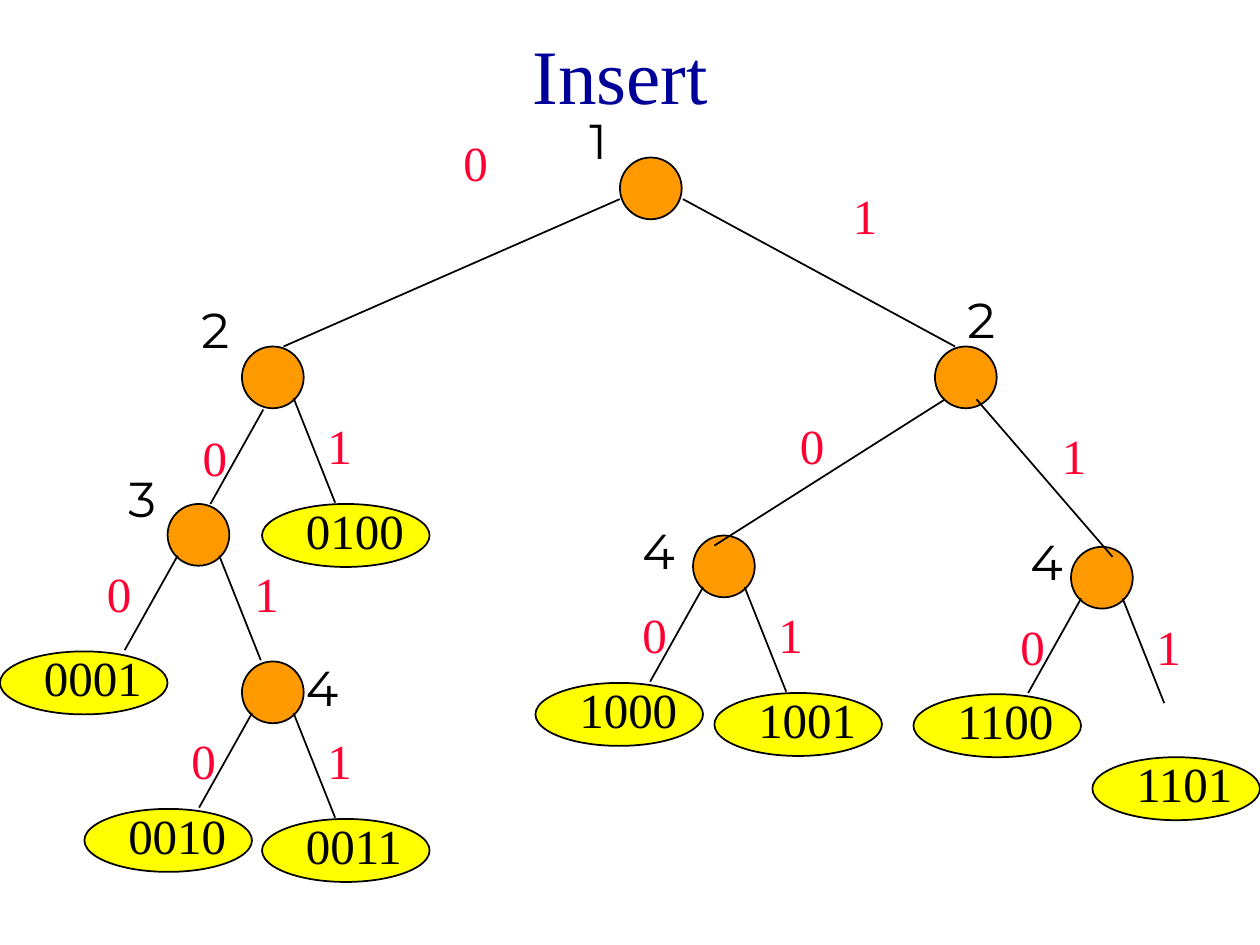
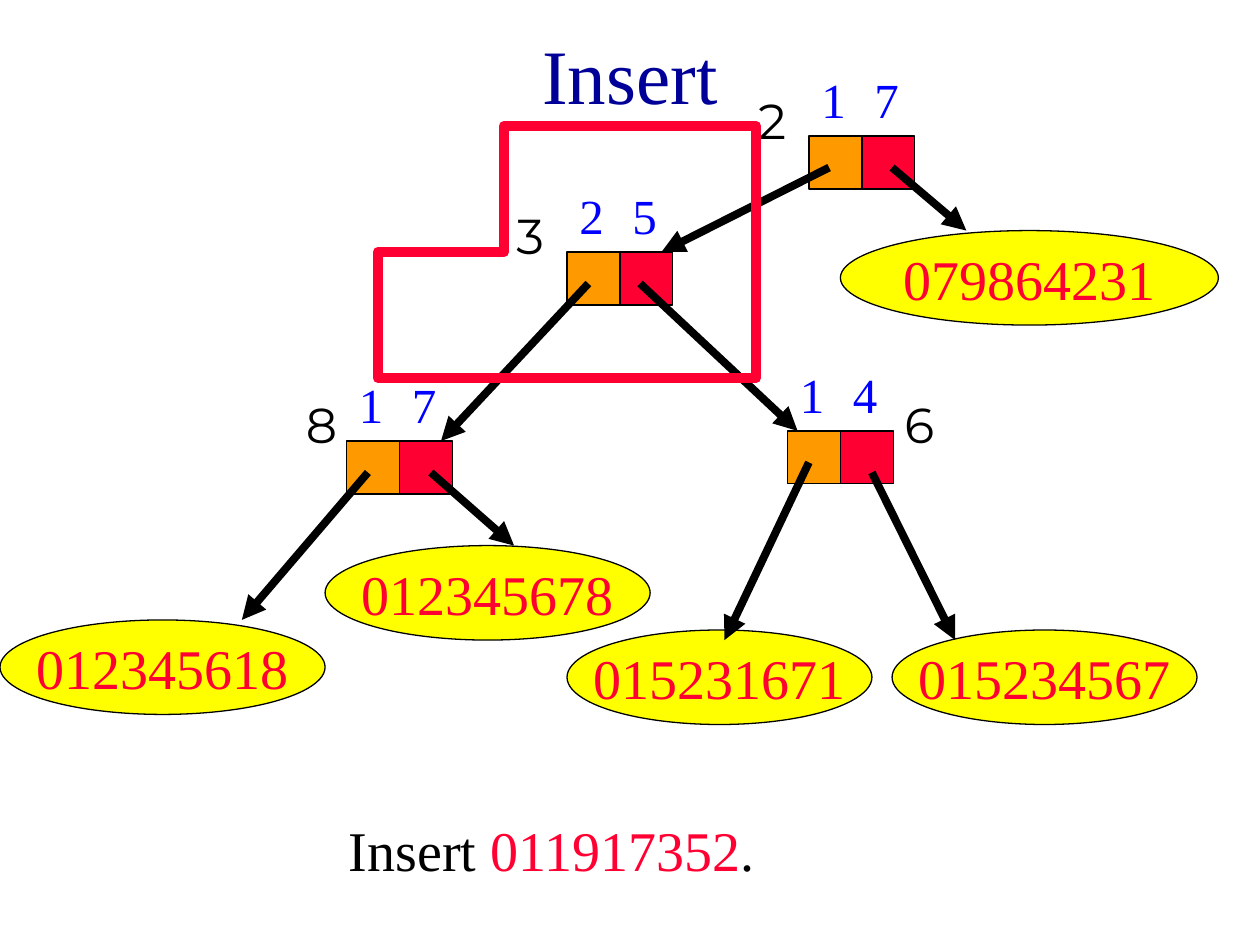
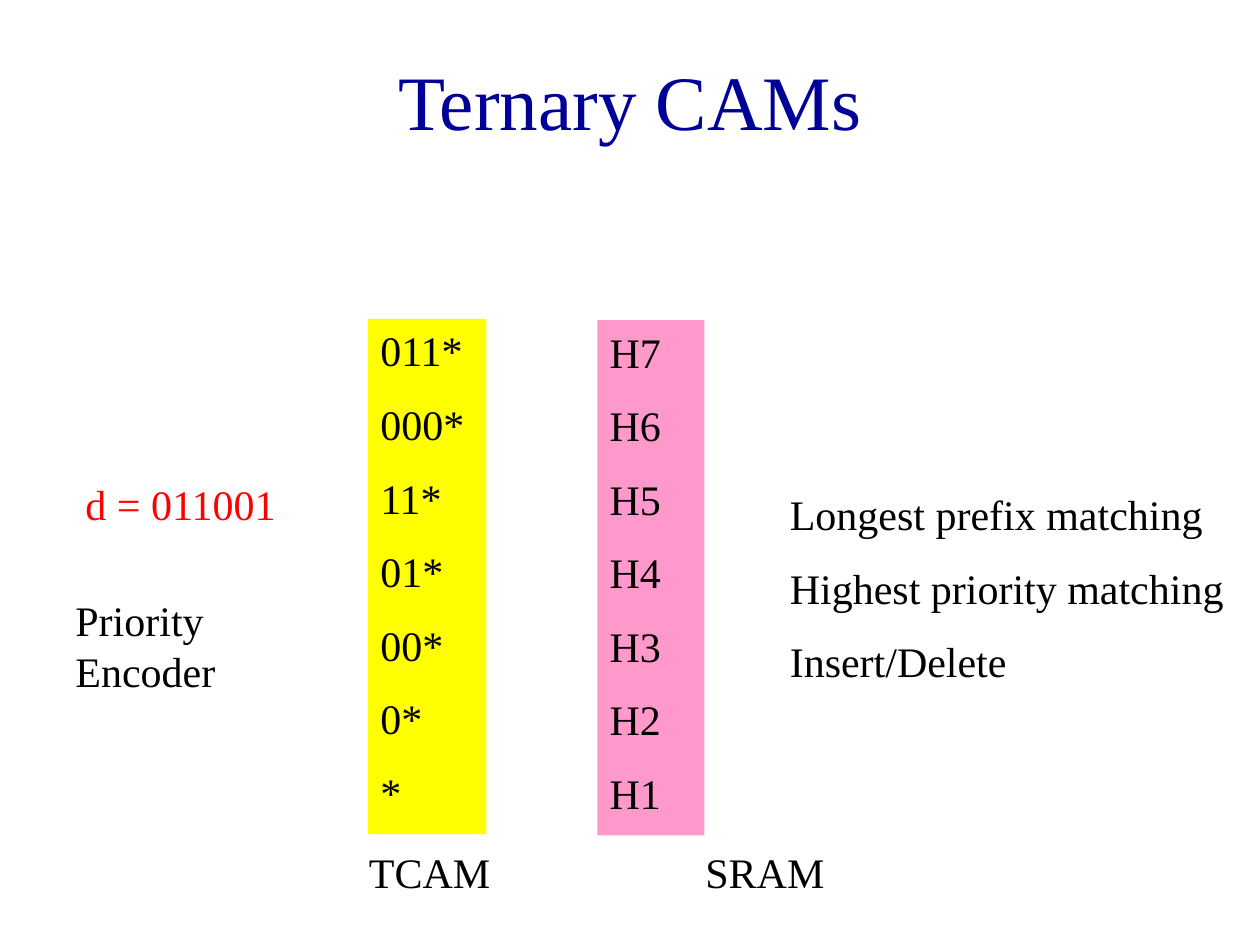
from pptx import Presentation
from pptx import util as u
from pptx.dml.color import RGBColor
from pptx.enum import shapes, text
from pptx.oxml.ns import qn
from lxml import etree

COLORS = {
    "title": "000099",
    "ink": "000000",
    "bit": "FF0033",
    "number": "010000",
    "digit": "0000FF",
    "query": "FF0000",
    "node": "FF9900",
    "leaf": "FFFF00",
    "sram": "FF99CC",
}
SERIF = "Times New Roman"
SANS = "Montserrat"
NODE = 0.49
CELL = 0.42


def color(name):
    return RGBColor.from_string(COLORS[name])


def set_font(font, size, ink, face=SERIF):
    font.size = u.Pt(size)
    font.name = face
    font.color.rgb = color(ink)


def add_titled_slide(deck, title, height=0.83):
    page = deck.slides.add_slide(deck.slide_layouts[5])
    box = page.shapes.title
    box.left, box.top = u.Inches(0.75), u.Inches(0.17)
    box.width, box.height = u.Inches(8.5), u.Inches(height)
    frame = box.text_frame
    frame.text = title
    frame.auto_size = text.MSO_AUTO_SIZE.NONE
    frame.vertical_anchor = text.MSO_ANCHOR.MIDDLE
    para = frame.paragraphs[0]
    para.alignment = text.PP_ALIGN.CENTER
    set_font(para.font, 44, "title")
    return page


def fill_text(box, lines, size, ink, face=SERIF, gap=0):
    frame = box.text_frame
    frame.word_wrap = True
    for index, line in enumerate(lines):
        para = frame.paragraphs[0] if index == 0 else frame.add_paragraph()
        para.text = line
        para.alignment = text.PP_ALIGN.LEFT
        if index:
            para.space_before = u.Pt(gap)
        set_font(para.font, size, ink, face)


def add_label(page, left, top, width, height, lines, size=28, ink="ink", face=SERIF, gap=0):
    box = page.shapes.add_textbox(*map(u.Inches, (left, top, width, height)))
    fill_text(box, lines, size, ink, face, gap)
    return box


def add_number(page, left, top, number):
    add_label(page, left, top, 0.67, 0.57, [number], ink="number", face=SANS)


def add_block(page, kind, left, top, width, height, fill, line_width=0):
    block = page.shapes.add_shape(kind, *map(u.Inches, (left, top, width, height)))
    block.shadow.inherit = False
    block.fill.solid()
    block.fill.fore_color.rgb = color(fill)
    if line_width:
        block.line.color.rgb = color("ink")
        block.line.width = u.Pt(line_width)
    else:
        block.line.fill.background()
    return block


def add_ellipse(page, left, top, width, height, fill, line_width):
    return add_block(page, shapes.MSO_SHAPE.OVAL, left, top, width, height, fill, line_width)


def add_edge(page, start, end, width=1, arrow=False):
    edge = page.shapes.add_connector(
        shapes.MSO_CONNECTOR.STRAIGHT, *map(u.Inches, (*start, *end)))
    edge.line.color.rgb = color("ink")
    edge.line.width = u.Pt(width)
    if arrow:
        etree.SubElement(edge.line._get_or_add_ln(), qn("a:tailEnd"), type="triangle")
    etree.SubElement(edge._element.spPr, qn("a:effectLst"))


def add_branch(page, x, y, shift=0):
    add_edge(page, (x + 0.08 + shift, y + 0.41 + shift), (x - 0.34 + shift, y + 1.16 + shift))
    add_edge(page, (x + 0.41, y + 0.41), (x + 0.74, y + 1.24))


def add_bit_leaf(page, left, top, bits):
    add_ellipse(page, left, top, 1.33, 0.5, "leaf", 1)
    add_label(page, left + 0.25, top - 0.08, 1.17, 0.57, [bits])


def add_key_leaf(page, left, top, width, key):
    leaf = add_ellipse(page, left, top, width, 0.75, "leaf", 0.75)
    fill_text(leaf, [key], 32, "bit")
    leaf.text_frame.word_wrap = False
    leaf.text_frame.vertical_anchor = text.MSO_ANCHOR.MIDDLE
    leaf.text_frame.paragraphs[0].alignment = text.PP_ALIGN.CENTER


def add_digit_node(page, left, top, digits):
    for index, (digit, fill) in enumerate(zip(digits, ("node", "bit"))):
        x = left + index * CELL
        add_block(page, shapes.MSO_SHAPE.RECTANGLE, x, top, CELL, CELL, fill, 0.75)
        add_label(page, x, top - 0.58, 0.35, 0.57, [digit], ink="digit")


def bezier(start, first, second, end, steps=16):
    for step in range(1, steps + 1):
        t = step / steps
        s = 1 - t
        yield tuple(
            s**3 * a + 3 * s * s * t * b + 3 * s * t * t * c + t**3 * d
            for a, b, c, d in zip(start, first, second, end))


def add_ring(page, start, curves):
    points, current = [], start
    for curve in curves:
        points.extend(bezier(current, *curve))
        current = curve[-1]
    builder = page.shapes.build_freeform(*start, scale=u.Inches(1))
    builder.add_line_segments(points, close=True)
    ring = builder.convert_to_shape()
    ring.shadow.inherit = False
    ring.fill.background()
    ring.line.color.rgb = color("bit")
    ring.line.width = u.Pt(6)


def add_column(page, left, top, width, fill, lines):
    column = add_block(page, shapes.MSO_SHAPE.RECTANGLE, left, top, width, 4.09, fill)
    column.text_frame.vertical_anchor = text.MSO_ANCHOR.TOP
    fill_text(column, lines, 24, "ink", gap=13.2)


def build_bit_tree(deck):
    page = add_titled_slide(deck, "Insert ")
    nodes = [(4.92, 1.25), (1.92, 2.75), (7.42, 2.75), (1.33, 4),
             (5.5, 4.25), (8.5, 4.34), (1.92, 5.25)]
    for x, y in nodes:
        add_ellipse(page, x, y, NODE, NODE, "node", 1)
    for start, end in [((4.92, 1.58), (2.25, 2.75)), ((5.42, 1.58), (7.58, 2.75)),
                       ((7.5, 3.17), (5.67, 4.33)), ((7.75, 3.17), (8.83, 4.42))]:
        add_edge(page, start, end)
    add_branch(page, 1.92, 2.75, shift=0.09)
    for x, y in nodes[3:]:
        add_branch(page, x, y)
    for left, top, bits in [(2.08, 4, "0100"), (0, 5.17, "0001"), (0.67, 6.42, "0010"),
                            (2.08, 6.5, "0011"), (4.25, 5.42, "1000"), (5.67, 5.5, "1001"),
                            (7.25, 5.51, "1100"), (8.67, 6.01, "1101")]:
        add_bit_leaf(page, left, top, bits)
    bit_places = {
        "0": [(3.58, 1), (1.51, 3.34), (6.25, 3.25), (0.75, 4.42),
              (5, 4.75), (8, 4.84), (1.42, 5.75)],
        "1": [(6.67, 1.42), (2.5, 3.25), (8.33, 3.33), (1.92, 4.42),
              (6.08, 4.75), (9.08, 4.84), (2.5, 5.75)],
    }
    for bit, places in bit_places.items():
        for left, top in places:
            add_label(page, left, top, 0.5, 0.57, [bit], ink="bit")
    for left, top, number in [(4.58, 0.83, "1"), (1.5, 2.33, "2"), (7.58, 2.25, "2"),
                              (0.92, 3.67, "3"), (5, 4.08, "4"), (8.08, 4.17, "4"),
                              (2.33, 5.17, "4")]:
        add_number(page, left, top, number)


def build_digit_tree(deck):
    page = add_titled_slide(deck, "Insert")
    request = add_label(page, 2.67, 6.42, 3.67, 0.75, ["Insert "], size=32)
    para = request.text_frame.paragraphs[0]
    for words, ink in [("011917352", "bit"), (".", "ink")]:
        span = para.add_run()
        span.text = words
        span.font.color.rgb = color(ink)
    for left, top, digits in [(6.42, 1.08, "17"), (4.5, 2, "25"),
                              (2.75, 3.5, "17"), (6.25, 3.42, "14")]:
        add_digit_node(page, left, top, digits)
    for left, top, number in [(5.92, 0.67, "2"), (4, 1.58, "3"),
                              (2.33, 3.08, "8"), (7.08, 3.08, "6")]:
        add_number(page, left, top, number)
    for left, top, width, key in [(6.67, 1.83, 3, "079864231"), (2.58, 4.33, 2.58, "012345678"),
                                  (0, 4.92, 2.58, "012345618"), (4.5, 5, 2.42, "015231671"),
                                  (7.08, 5, 2.42, "015234567")]:
        add_key_leaf(page, left, top, width, key)
    for start, end in [((6.58, 1.33), (5.25, 2)), ((7.08, 1.33), (7.67, 1.83)),
                       ((4.67, 2.25), (3.5, 3.5)), ((5.08, 2.25), (6.33, 3.42)),
                       ((2.92, 3.75), (1.92, 4.92)), ((3.42, 3.75), (4.08, 4.33)),
                       ((6.42, 3.67), (5.75, 5.08)), ((6.92, 3.75), (7.58, 5.08))]:
        add_edge(page, start, end, width=4.5, arrow=True)
    add_ring(page, (3.08, 2.58), [
        ((3.19, 2.74), (3.69, 2.72), (4.08, 2.75)),
        ((4.47, 2.78), (5.1, 2.79), (5.42, 2.75)),
        ((5.74, 2.71), (5.89, 2.62), (6, 2.5)),
        ((6.11, 2.38), (6.1, 2.22), (6.08, 2)),
        ((6.07, 1.78), (6.28, 1.32), (5.92, 1.17)),
        ((5.56, 1.01), (4.33, 0.97), (3.92, 1.08)),
        ((3.5, 1.19), (3.54, 1.58), (3.42, 1.83)),
        ((3.29, 2.08), (2.97, 2.43), (3.08, 2.58)),
    ])


def build_ternary_cams(deck):
    page = add_titled_slide(deck, "Ternary CAMs", height=1.25)
    add_column(page, 2.92, 2.53, 0.94, "leaf",
               ["011*", "000*", "11*", "01*", "00*", "0*", "*"])
    add_column(page, 4.74, 2.54, 0.85, "sram", [f"H{hop}" for hop in range(7, 0, -1)])
    add_label(page, 2.83, 6.67, 1.25, 0.5, ["TCAM"], size=24)
    add_label(page, 5.5, 6.67, 2.08, 0.5, ["SRAM"], size=24)
    add_label(page, 0.58, 3.75, 1.83, 0.51, ["d = 011001"], size=24, ink="query")
    add_label(page, 6.17, 3.83, 3.75, 1.72,
              ["Longest prefix matching", "Highest priority matching", "Insert/Delete"],
              size=24, gap=13.2)
    add_label(page, 0.5, 4.67, 1.75, 0.91, ["Priority Encoder"], size=24)


def main():
    deck = Presentation()
    deck.slide_width, deck.slide_height = u.Inches(10), u.Inches(7.5)
    build_bit_tree(deck)
    build_digit_tree(deck)
    build_ternary_cams(deck)
    deck.save("out.pptx")


if __name__ == "__main__":
    main()
